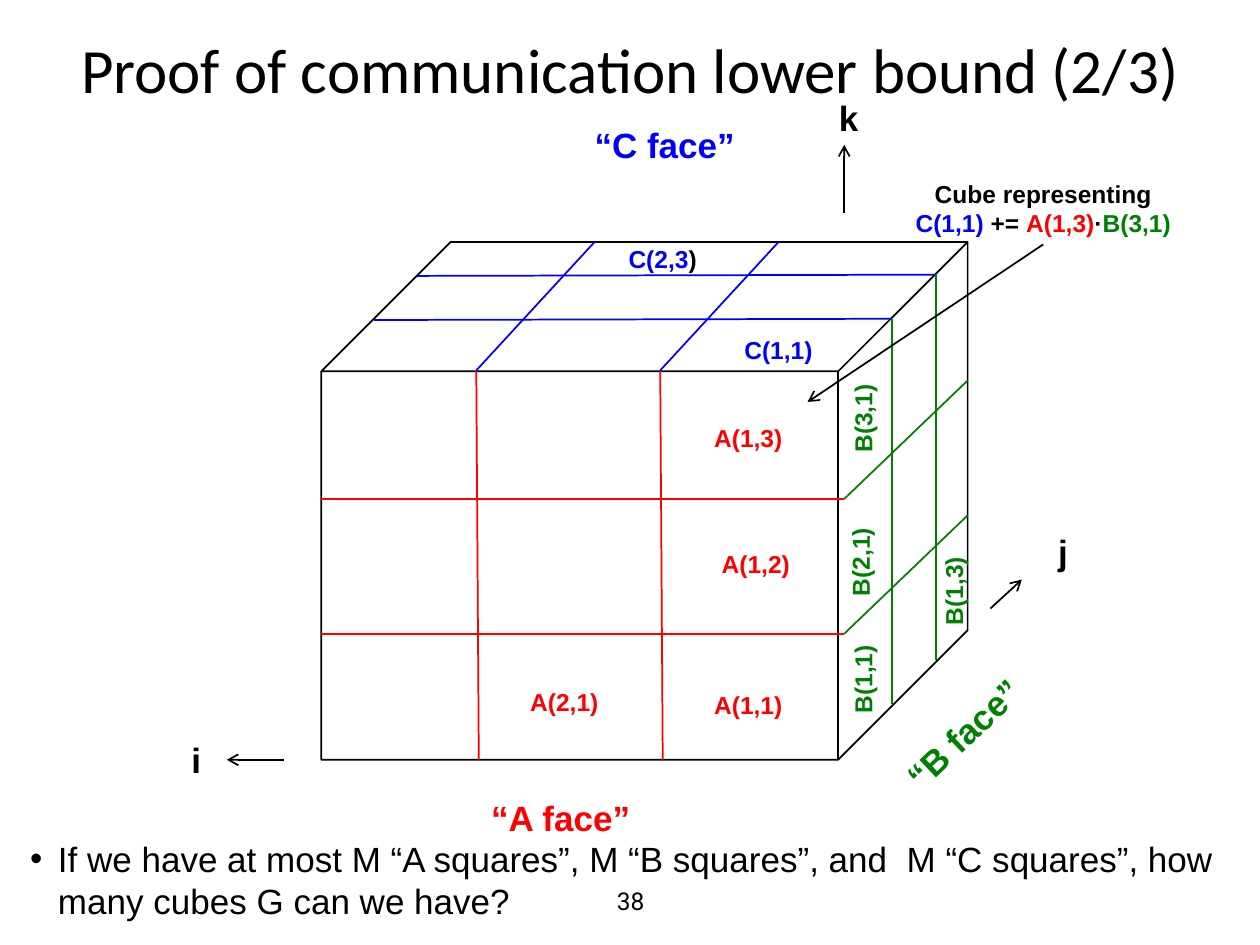
from lxml.etree import SubElement
from pptx import Presentation
from pptx.dml.color import RGBColor
from pptx.enum.shapes import MSO_CONNECTOR as Connector, MSO_SHAPE as Shape
from pptx.enum.text import MSO_ANCHOR as Anchor, PP_ALIGN as Align
from pptx.oxml.ns import qn
from pptx.util import Inches, Pt

# Grid of 100 columns by 75 rows of square cells
WIDTH, HEIGHT = Inches(10), Inches(7.5)
COLUMNS = 100
CELL = WIDTH / COLUMNS

BLACK, RED, GREEN, BLUE = "000000", "FF0000", "008000", "0000FF"

# Cube: outer frame, front face and cuts
LEFT, TOP, CUBE_WIDTH, CUBE_HEIGHT = 25.5, 19.2, 51.3, 41.1
RIGHT, BOTTOM = LEFT + CUBE_WIDTH, TOP + CUBE_HEIGHT
FRONT_TOP, FRONT_RIGHT = 29.4, 67
COLUMN_CUTS = [37.8, 52.4]
ROW_CUTS = [39.6, 50.3]
DEPTH_CUTS = [(29.7, 70.8, 25.3), (33.1, 74.3, 21.8)]  # left, right, row
SLANT = 9.4
SIDE_HEIGHT = 30.6

# Labels: text, left, top, colour
FLAT_LABELS = [
    ("A(2,1)", 41.1, 54, RED),
    ("A(1,3)", 55.7, 33.1, RED),
    ("A(1,2)", 56.3, 43.1, RED),
    ("A(1,1)", 55.7, 54.3, RED),
    ("C(1,1)", 58.1, 26.1, BLUE),
]
UPRIGHT_LABELS = [
    ("B(1,3)", 72, 45.2, GREEN),
    ("B(3,1)", 64.8, 31.5, GREEN),
    ("B(2,1)", 64.6, 42.9, GREEN),
    ("B(1,1)", 64.8, 52.2, GREEN),
]


def cells(count):
    return round(count * CELL)


def colour(value):
    return RGBColor.from_string(value)


def add_text(page, frame, lines, size, font="Arial", bold=True, align=Align.LEFT,
             anchor=Anchor.TOP, wrap=False, turn=0):
    """Add a text box; each line is a list of (text, colour) runs."""
    box = page.shapes.add_textbox(*map(cells, frame))
    box.rotation = turn
    text = box.text_frame
    text.word_wrap = wrap
    text.vertical_anchor = anchor
    for index, runs in enumerate(lines):
        para = text.add_paragraph() if index else text.paragraphs[0]
        para.alignment = align
        for words, value in runs:
            span = para.add_run()
            span.text = words
            span.font.name = font
            span.font.size = Pt(size)
            span.font.bold = bold
            span.font.color.rgb = colour(value)
    return box


def add_label(page, words, left, top, value, turn=0):
    add_text(page, (left, top, 7.4, 3.4), [[(words, value)]], 14, turn=turn)


def add_line(page, start, end, value, arrow=False):
    line = page.shapes.add_connector(Connector.STRAIGHT, *map(cells, (*start, *end)))
    line.line.color.rgb = colour(value)
    line.line.width = Pt(1)
    if arrow:
        SubElement(line.line._get_or_add_ln(), qn("a:tailEnd"), type="arrow")
    SubElement(line._element.spPr, qn("a:effectLst"))
    return line


def add_bullet(box, indent):
    """Give the first paragraph a hanging bullet."""
    props = box.text_frame.paragraphs[0]._p.get_or_add_pPr()
    props.set("marL", str(Inches(indent)))
    props.set("indent", str(-Inches(indent)))
    SubElement(props, qn("a:buFont"), typeface="Arial")
    SubElement(props, qn("a:buChar"), char="•")


def add_cube(page):
    cube = page.shapes.add_shape(
        Shape.CUBE, *map(cells, (LEFT, TOP, CUBE_WIDTH, CUBE_HEIGHT)))
    cube.adjustments[0] = 0.25
    cube.shadow.inherit = False
    cube.fill.background()
    cube.line.color.rgb = colour(BLACK)
    cube.line.width = Pt(1)
    # Each cut runs over two neighbouring faces
    for row in ROW_CUTS:
        add_line(page, (LEFT, row), (FRONT_RIGHT, row), RED)
        add_line(page, (FRONT_RIGHT, row), (RIGHT, row - SLANT), GREEN)
    for column in COLUMN_CUTS:
        add_line(page, (column, FRONT_TOP), (column + 0.2, BOTTOM), RED)
        add_line(page, (column, FRONT_TOP), (column + SLANT, TOP), BLUE)
    for left, right, row in DEPTH_CUTS:
        add_line(page, (left, row + 0.1), (right, row), BLUE)
        add_line(page, (right, row), (right, row + SIDE_HEIGHT), GREEN)


def add_axes(page):
    for name, frame, start, end in [
        ("k", (65.6, 7.2, 3.6, 4.4), (67, 16.9), (67, 11.5)),
        ("j", (83, 41.6, 2.8, 4.4), (78.6, 48.3), (81.1, 46)),
        ("i", (14.2, 58.1, 2.8, 4.4), (22.5, 60.3), (18, 60.3)),
    ]:
        add_text(page, frame, [[(name, BLACK)]], 20)
        add_line(page, start, end, BLACK, arrow=True)


def add_face_names(page):
    for name, left, top, value, turn in [
        ("“A face”", 38, 62.7, RED, 0),
        ("“B face”", 69.9, 56, GREEN, 316.6),
        ("“C face”", 46.2, 9.3, BLUE, 0),
    ]:
        add_text(page, (left, top, 13.2, 4.4), [[(name, value)]], 20, turn=turn)


def add_callout(page):
    box = add_text(page, (71.6, 13.7, 22.4, 5.7), [
        [("Cube representing", BLACK)],
        [("C(1,1) ", BLUE), ("+= ", BLACK), ("A(1,3)", RED), ("·", BLACK),
         ("B(3,1)", GREEN)],
    ], 14, align=Align.CENTER, wrap=True)
    arrow = add_line(page, (82.8, 19.4), (64.1, 31.9), BLACK, arrow=True)
    arrow.begin_connect(box, 2)


def add_question(page):
    box = add_text(page, (1.7, 62.2, 96.7, 11.2), [[(
        "If we have at most M “A squares”, M “B squares”, and  M “C squares”, "
        "how many cubes G can we have?", BLACK)]],
        20, bold=False, anchor=Anchor.BOTTOM, wrap=True)
    text = box.text_frame
    text.margin_left = text.margin_right = Inches(0.07)
    text.margin_top = text.margin_bottom = Inches(0.03)
    add_bullet(box, 0.22)


def main():
    deck = Presentation()
    deck.slide_width, deck.slide_height = WIDTH, HEIGHT
    page = deck.slides.add_slide(deck.slide_layouts[6])

    # Title and page number
    add_text(page, (0, 3.4, 100, 4.1),
             [[("Proof of communication lower bound (2/3)", BLACK)]], 36,
             font="Calibri", bold=False, align=Align.CENTER,
             anchor=Anchor.MIDDLE, wrap=True)
    add_text(page, (34.2, 69.5, 31.7, 4), [[("38", BLACK)]], 14, font="Roboto",
             bold=False, align=Align.CENTER, anchor=Anchor.MIDDLE, wrap=True)

    # Cube with its axes and names
    add_cube(page)
    add_axes(page)
    add_face_names(page)

    # Square labels
    for label in FLAT_LABELS:
        add_label(page, *label)
    for label in UPRIGHT_LABELS:
        add_label(page, *label, turn=270)
    add_text(page, (48.9, 18.9, 7.4, 3.4), [[("C(2,3", BLUE), (")", BLACK)]], 14)

    # Explanation and question
    add_callout(page)
    add_question(page)

    deck.save("out.pptx")


if __name__ == "__main__":
    main()
